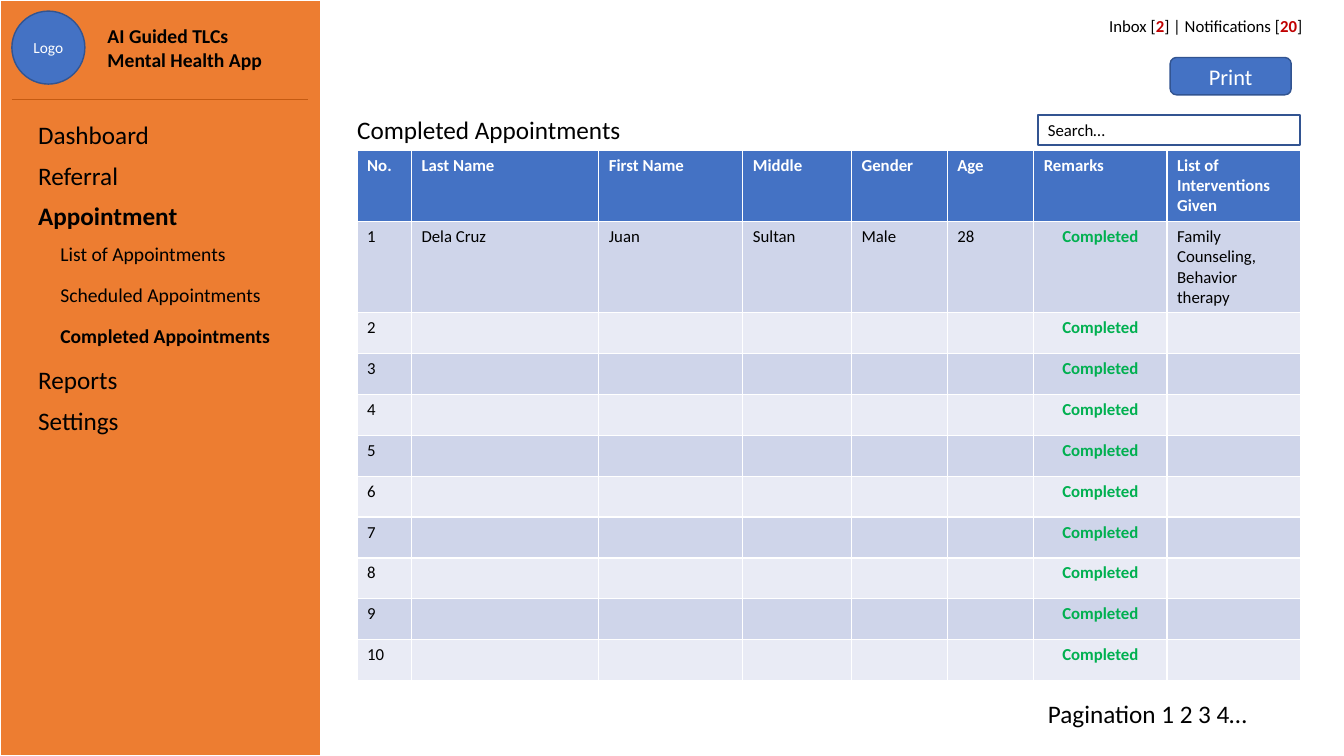
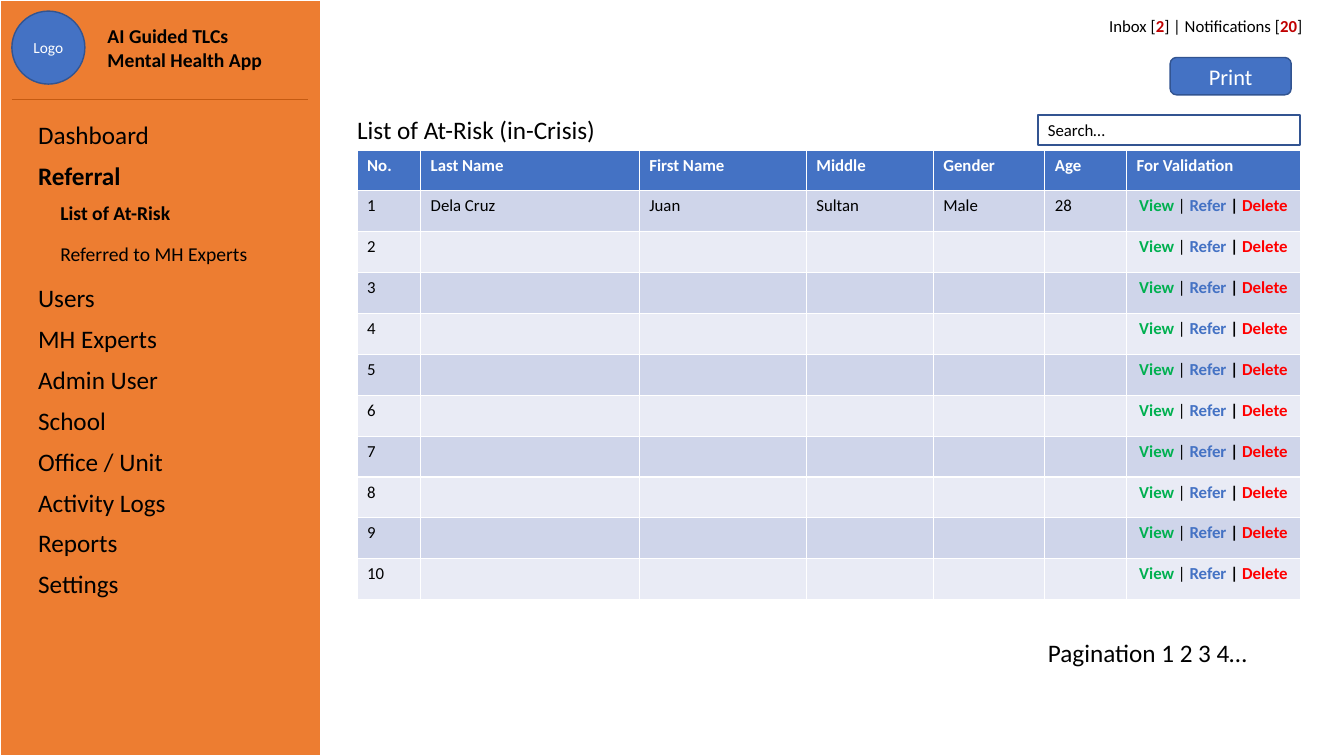
from lxml.etree import SubElement
from pptx import Presentation
from pptx.dml.color import RGBColor
from pptx.enum.shapes import MSO_CONNECTOR, MSO_SHAPE
from pptx.enum.text import MSO_ANCHOR, MSO_AUTO_SIZE, PP_ALIGN
from pptx.oxml.ns import qn
from pptx.util import Cm, Pt

COLORS = {
    "sidebar": "ED7D31", "divider": "C55A11", "blue": "4472C4", "outline": "325491",
    "white": "FFFFFF", "black": "000000", "band_dark": "CFD5EA", "band_light": "E9EBF5",
    "green": "00B050", "red": "FF0000", "count": "C00000",
}
FONT = "Calibri"
NO_STYLE = "{2D5ABB26-0587-4C30-8999-92F81FD0307C}"
ROW_HEIGHT = 1.03
CONTENT_LEFT, CONTENT_WIDTH = 9, 23.77
SEARCH_LEFT, SEARCH_WIDTH = 26.16, 6.6

# Text is a list of (words, colour, bold) runs.
INBOX = [("Inbox [", "black", False), ("2", "count", True),
         ("] | Notifications [", "black", False), ("20", "count", True),
         ("]", "black", False)]
COMPLETED = [("Completed", "green", True)]
VALIDATION = [("View", "green", True), (" | ", "black", False), ("Refer ", "blue", True),
              ("| ", "black", True), ("Delete", "red", True)]
PERSON = ["Dela Cruz", "Juan", "Sultan", "Male", "28"]
PERSON_HEADERS = ["No.", "Last Name", "First Name", "Middle", "Gender", "Age"]
ENTRY_COUNT = 10

# Menu entries are (words, level); "current" lists the highlighted ones.
SCREENS = [
    {
        "title": "Completed Appointments",
        "menu": [("Dashboard", 0), ("Referral", 0), ("Appointment", 0),
                 ("List of Appointments", 1), ("Scheduled Appointments", 1),
                 ("Completed Appointments", 1), ("Reports", 0), ("Settings", 0)],
        "current": ["Appointment", "Completed Appointments"],
        "headers": ["Remarks", "List of Interventions Given"],
        "widths": [1.37, 4.72, 3.63, 2.74, 2.41, 2.18, 3.36, 3.36],
        "tall_rows": {0: 1.8, 1: 2.3},
        "status": COMPLETED,
        "first_extra": ["Family Counseling, Behavior therapy"],
        "pagination_top": 17.48,
    },
    {
        "title": "List of At-Risk (in-Crisis)",
        "menu": [("Dashboard", 0), ("Referral", 0), ("List of At-Risk", 1),
                 ("Referred to MH Experts", 1), ("Users", 0), ("MH Experts", 0),
                 ("Admin User", 0), ("School", 0), ("Office / Unit", 0),
                 ("Activity Logs", 0), ("Reports", 0), ("Settings", 0)],
        "current": ["Referral", "List of At-Risk"],
        "headers": ["For Validation"],
        "widths": [1.6, 5.51, 4.21, 3.2, 2.81, 2.06, 4.38],
        "tall_rows": {},
        "status": VALIDATION,
        "first_extra": [],
        "pagination_top": 15.93,
    },
]


def rgb(name):
    return RGBColor.from_string(COLORS[name])


def plain(words, color="black", bold=False):
    return [(words, color, bold)]


def write(frame, runs, size, align=PP_ALIGN.LEFT):
    paragraph = frame.paragraphs[0]
    paragraph.alignment = align
    paragraph.font.name = FONT
    paragraph.font.size = Pt(size)
    for words, color, bold in runs:
        run = paragraph.add_run()
        run.text = words
        run.font.color.rgb = rgb(color)
        run.font.bold = bold


def add_label(slide, box, runs, size, align=PP_ALIGN.LEFT):
    frame = slide.shapes.add_textbox(*map(Cm, box)).text_frame
    frame.word_wrap = True
    write(frame, runs, size, align)


def add_panel(slide, preset, box, fill, outline, weight=1):
    panel = slide.shapes.add_shape(preset, *map(Cm, box))
    panel.shadow.inherit = False
    panel.fill.solid()
    panel.fill.fore_color.rgb = rgb(fill)
    panel.line.color.rgb = rgb(outline)
    panel.line.width = Pt(weight)
    panel.text_frame.vertical_anchor = MSO_ANCHOR.MIDDLE
    return panel


def add_sidebar(slide, menu, current):
    add_panel(slide, MSO_SHAPE.RECTANGLE, (0, 0, 8.1, 19.05), "sidebar", "white", 1.5)
    logo = add_panel(slide, MSO_SHAPE.OVAL, (0.3, 0.28, 1.84, 1.84), "blue", "outline")
    logo.text_frame.margin_left = logo.text_frame.margin_right = 0
    write(logo.text_frame, plain("Logo", "white"), 11, PP_ALIGN.CENTER)
    add_label(slide, (2.46, 0.48, 4.65, 1.45),
              plain("AI Guided TLCs Mental Health App", bold=True), 14)
    divider = slide.shapes.add_connector(MSO_CONNECTOR.STRAIGHT,
                                         Cm(0.3), Cm(2.51), Cm(7.75), Cm(2.51))
    divider.line.color.rgb = rgb("divider")
    divider.line.width = Pt(0.5)
    SubElement(divider.element.spPr, qn("a:effectLst"))

    menu_frame = slide.shapes.add_table(len(menu), 1, Cm(0.71), Cm(2.9), Cm(6.7),
                                        Cm(ROW_HEIGHT * len(menu)))
    table = menu_frame.table
    table.first_row = table.horz_banding = False
    table._tbl.tblPr.find(qn("a:tableStyleId")).text = NO_STYLE
    for row, (words, level) in zip(table.rows, menu):
        row.height = Cm(ROW_HEIGHT)
        cell = row.cells[0]
        cell.fill.background()
        cell.margin_left = Cm(0.25 + 0.56 * level)
        write(cell.text_frame, plain(words, bold=words in current), 14 if level else 18)


def add_toolbar(slide):
    add_label(slide, (26.31, 0.28, 6.76, 0.77), INBOX, 12, PP_ALIGN.RIGHT)
    button = add_panel(slide, MSO_SHAPE.ROUNDED_RECTANGLE, (29.49, 1.45, 3.05, 0.94),
                       "blue", "outline")
    write(button.text_frame, plain("Print", "white"), 16, PP_ALIGN.CENTER)
    search = add_panel(slide, MSO_SHAPE.RECTANGLE, (SEARCH_LEFT, 2.9, SEARCH_WIDTH, 0.76),
                       "white", "outline")
    write(search.text_frame, plain("Search…"), 12)


def place_title(slide, words):
    title = slide.shapes.title
    title.left, title.top, title.width, title.height = map(Cm, (CONTENT_LEFT, 2.75, 10, 1.02))
    frame = title.text_frame
    frame.auto_size = MSO_AUTO_SIZE.NONE
    frame.vertical_anchor = MSO_ANCHOR.TOP
    frame.margin_left = 0
    write(frame, plain(words), 18)


def entry_rows(screen):
    """Return the header and entries, each cell a list of runs."""
    rows = [[plain(words, "white", True) for words in PERSON_HEADERS + screen["headers"]]]
    for number in range(1, ENTRY_COUNT + 1):
        first = number == 1
        person = PERSON if first else [""] * len(PERSON)
        extra = screen["first_extra"] if first else [""] * len(screen["first_extra"])
        rows.append([plain(str(number)), *map(plain, person),
                     screen["status"], *map(plain, extra)])
    return rows


def add_entries(slide, screen):
    rows = entry_rows(screen)
    heights = [screen["tall_rows"].get(i, ROW_HEIGHT) for i in range(len(rows))]
    table = slide.shapes.add_table(len(rows), len(rows[0]), Cm(CONTENT_LEFT), Cm(3.78),
                                   Cm(CONTENT_WIDTH), Cm(sum(heights))).table
    for column, width in zip(table.columns, screen["widths"]):
        column.width = Cm(width)
    for i, (row, texts) in enumerate(zip(table.rows, rows)):
        row.height = Cm(heights[i])
        fill = "blue" if i == 0 else "band_dark" if i % 2 else "band_light"
        for cell, runs in zip(row.cells, texts):
            cell.fill.solid()
            cell.fill.fore_color.rgb = rgb(fill)
            if runs[0][0]:
                centred = runs is screen["status"]
                write(cell.text_frame, runs, 12,
                      PP_ALIGN.CENTER if centred else PP_ALIGN.LEFT)


def main():
    deck = Presentation()
    deck.slide_width, deck.slide_height = Cm(33.87), Cm(19.05)
    title_only = deck.slide_layouts[5]
    for screen in SCREENS:
        slide = deck.slides.add_slide(title_only)
        add_sidebar(slide, screen["menu"], screen["current"])
        add_toolbar(slide)
        place_title(slide, screen["title"])
        add_entries(slide, screen)
        add_label(slide, (SEARCH_LEFT, screen["pagination_top"], SEARCH_WIDTH, 1.02),
                  plain("Pagination 1 2 3 4…"), 18)
    deck.save("out.pptx")


if __name__ == "__main__":
    main()
